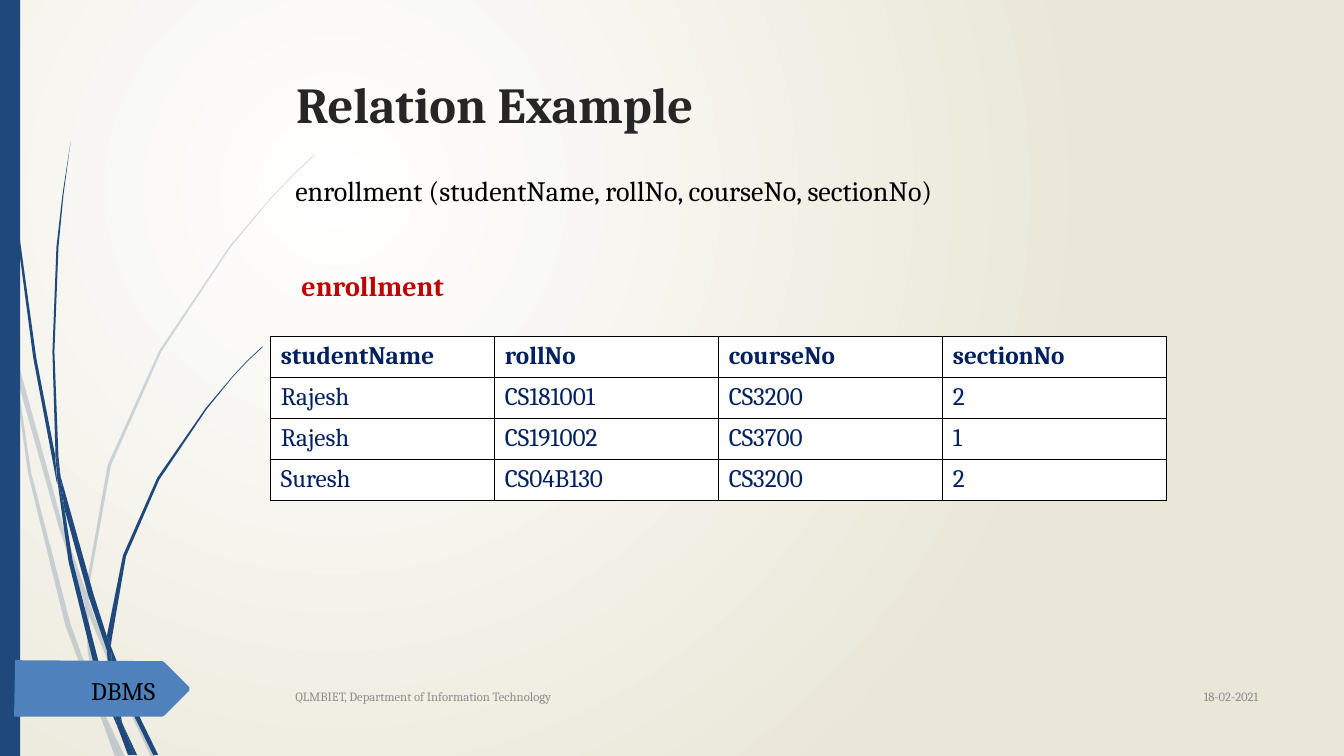
from lxml.etree import SubElement
from pptx import Presentation
from pptx.dml.color import RGBColor
from pptx.enum.shapes import MSO_SHAPE
from pptx.enum.text import MSO_ANCHOR, PP_ALIGN
from pptx.oxml.ns import qn
from pptx.util import Pt

NAVY = RGBColor(0x1F, 0x49, 0x7D)
BLUE = RGBColor(0x4F, 0x81, 0xBD)
INK = RGBColor(0x00, 0x20, 0x60)
RED = RGBColor(0xC0, 0x00, 0x00)
DARK = RGBColor(0x26, 0x26, 0x26)
GREY = RGBColor(0x8C, 0x8C, 0x8C)
SAND = RGBColor(0xEA, 0xE7, 0xD8)
WHITE = RGBColor(0xFF, 0xFF, 0xFF)
BLACK = RGBColor(0x00, 0x00, 0x00)
FONT = "Cambria"
UNIT = Pt(0.72)  # grid step of the outlines below

# Outlines of the grass blades, as x, y on the grid
PALE = [
    [(11, 350), (9, 322), (0, 282), (0, 299), (10, 344)],
    [(58, 522), (84, 599), (85, 586), (62, 520), (14, 345), (17, 376)],
    [(92, 607), (88, 596), (88, 610), (123, 694), (150, 751), (155, 751),
     (127, 692)],
    [(119, 751), (124, 751), (105, 711)],
    [(93, 683), (70, 619), (31, 469), (17, 376), (11, 350), (28, 470),
     (65, 621), (92, 693), (101, 714), (99, 707)],
    [(84, 599), (87, 646), (93, 683), (96, 692), (105, 711), (103, 706),
     (91, 646), (88, 610), (88, 608)],
    [(88, 584), (110, 462), (160, 349), (229, 245), (268, 198), (290, 175),
     (312, 154), (312, 153), (289, 175), (268, 197), (228, 244), (158, 348),
     (107, 461), (85, 584), (85, 586), (88, 596)],
    [(101, 714), (114, 751), (119, 751)],
    [(88, 608), (88, 610), (88, 596), (85, 586), (84, 599)],
    [(96, 692), (93, 683), (99, 707), (101, 714), (119, 751), (105, 711)],
]
DEEP = [
    [(7, 110), (17, 233), (33, 355), (56, 477), (57, 481), (55, 457),
     (55, 453), (36, 355), (19, 232), (8, 109), (5, 48), (4, 0), (3, 0),
     (4, 48)],
    [(88, 592), (106, 645), (106, 633), (106, 631), (93, 590), (60, 472),
     (64, 505)],
    [(113, 649), (110, 641), (111, 656), (132, 708), (152, 749), (157, 749),
     (136, 706)],
    [(110, 691), (98, 657), (72, 556), (64, 505), (57, 477), (68, 557),
     (93, 659), (111, 708), (117, 722), (116, 717)],
    [(60, 472), (58, 453), (54, 349), (58, 245), (63, 193), (70, 141),
     (62, 193), (56, 245), (52, 349), (55, 449)],
    [(133, 749), (136, 749), (122, 719)],
    [(57, 477), (64, 505), (60, 472), (55, 449), (55, 453)],
    [(111, 633), (125, 552), (158, 476), (205, 406), (231, 374), (245, 359),
     (261, 344), (260, 344), (245, 358), (231, 373), (204, 405), (156, 474),
     (122, 551), (106, 631), (110, 641)],
    [(117, 722), (127, 749), (131, 749)],
    [(106, 645), (110, 691), (116, 706), (122, 719), (121, 716), (111, 656),
     (109, 651)],
    [(106, 645), (109, 651), (111, 656), (110, 641), (106, 631), (106, 633)],
    [(116, 706), (110, 691), (116, 717), (117, 722), (130, 749), (133, 749),
     (122, 719)],
]
BANNER = [(188, 685), (163, 710), (161, 711), (14, 711), (15, 655),
          (161, 656), (163, 657), (188, 682)]
ROWS = [
    ("studentName", "rollNo", "courseNo", "sectionNo"),
    ("Rajesh", "CS181001", "CS3200", "2"),
    ("Rajesh", "CS191002", "CS3700", "1"),
    ("Suresh", "CS04B130", "CS3200", "2"),
]


def paint(shape, color, alpha=None):
    shape.shadow.inherit = False
    shape.line.fill.background()
    shape.fill.solid()
    shape.fill.fore_color.rgb = color
    if alpha:
        tint = shape._element.spPr.find(".//" + qn("a:srgbClr"))
        SubElement(tint, qn("a:alpha"), val=str(alpha * 1000))


def outline(slide, points, color, alpha=None):
    pen = slide.shapes.build_freeform(*points[0], scale=UNIT)
    pen.add_line_segments(points[1:], close=True)
    paint(pen.convert_to_shape(), color, alpha)


def style(para, size, color, bold=False):
    para.font.name = FONT
    para.font.size = Pt(size)
    para.font.color.rgb = color
    para.font.bold = bold


def label(slide, box, text, size, color, bold=False,
          align=PP_ALIGN.LEFT, anchor=MSO_ANCHOR.MIDDLE):
    frame = slide.shapes.add_textbox(*map(Pt, box)).text_frame
    frame.word_wrap = True
    frame.vertical_anchor = anchor
    para = frame.paragraphs[0]
    para.text = text
    para.alignment = align
    style(para, size, color, bold)
    return frame


def backdrop(slide):
    fill = slide.background.fill
    fill.gradient()
    for stop, color in zip(fill.gradient_stops, (WHITE, SAND)):
        stop.color.rgb = color
    line = slide._element.find(".//" + qn("a:lin"))
    grad = line.getparent()
    grad.remove(line)
    ring = SubElement(grad, qn("a:path"), path="circle")
    SubElement(ring, qn("a:fillToRect"),
               l="50000", t="50000", r="100000", b="100000")


def border(cell):
    props = cell._tc.get_or_add_tcPr()
    for side in ("lnL", "lnR", "lnT", "lnB"):
        line = SubElement(props, qn("a:" + side), w=str(Pt(1)))
        fill = SubElement(line, qn("a:solidFill"))
        SubElement(fill, qn("a:srgbClr"), val=str(BLACK))


def grid(slide, left, top, wide, high):
    count = len(ROWS[0])
    table = slide.shapes.add_table(
        len(ROWS), count, Pt(left), Pt(top),
        Pt(wide * count), Pt(high * len(ROWS))).table
    table.first_row = table.horz_banding = False
    for col in table.columns:
        col.width = Pt(wide)
    for r, row in enumerate(ROWS):
        table.rows[r].height = Pt(high)
        for c, text in enumerate(row):
            cell = table.cell(r, c)
            border(cell)
            cell.fill.solid()
            cell.fill.fore_color.rgb = WHITE
            cell.text = text
            style(cell.text_frame.paragraphs[0], 18, INK, r == 0)


def main():
    deck = Presentation()
    deck.slide_width, deck.slide_height = Pt(960), Pt(540)
    slide = deck.slides.add_slide(deck.slide_layouts[6])

    # Background, grass, side bar and banner
    backdrop(slide)
    for blade in PALE:
        outline(slide, blade, NAVY, 20)
    for blade in DEEP:
        outline(slide, blade, NAVY)
    bar = slide.shapes.add_shape(MSO_SHAPE.RECTANGLE, 0, 0, Pt(14.4), Pt(540))
    paint(bar, NAVY)
    outline(slide, BANNER, BLUE)

    # Title and relation scheme
    label(slide, (204.5, 49, 702, 100.8), "Relation Example", 36, DARK,
          bold=True, anchor=MSO_ANCHOR.TOP)
    body = label(slide, (203.8, 120.2, 702, 344.9),
                 "enrollment (studentName, rollNo, courseNo, sectionNo)",
                 20, BLACK, anchor=MSO_ANCHOR.TOP)
    name = body.add_paragraph()
    name.text = " enrollment"
    name.space_before = Pt(44)
    style(name, 20, RED, True)

    # Footer
    label(slide, (815.8, 482.4, 90, 29.5), "18-02-2021", 9, GREY,
          align=PP_ALIGN.RIGHT)
    label(slide, (203.8, 483.1, 600, 28.8),
          "QLMBIET, Department of Information Technology", 9, GREY)
    label(slide, (23, 482.4, 95, 21.6), "DBMS", 18, BLACK,
          align=PP_ALIGN.RIGHT)

    # Relation table
    grid(slide, 193.5, 240.6, 160, 29.2)
    deck.save("out.pptx")


if __name__ == "__main__":
    main()
